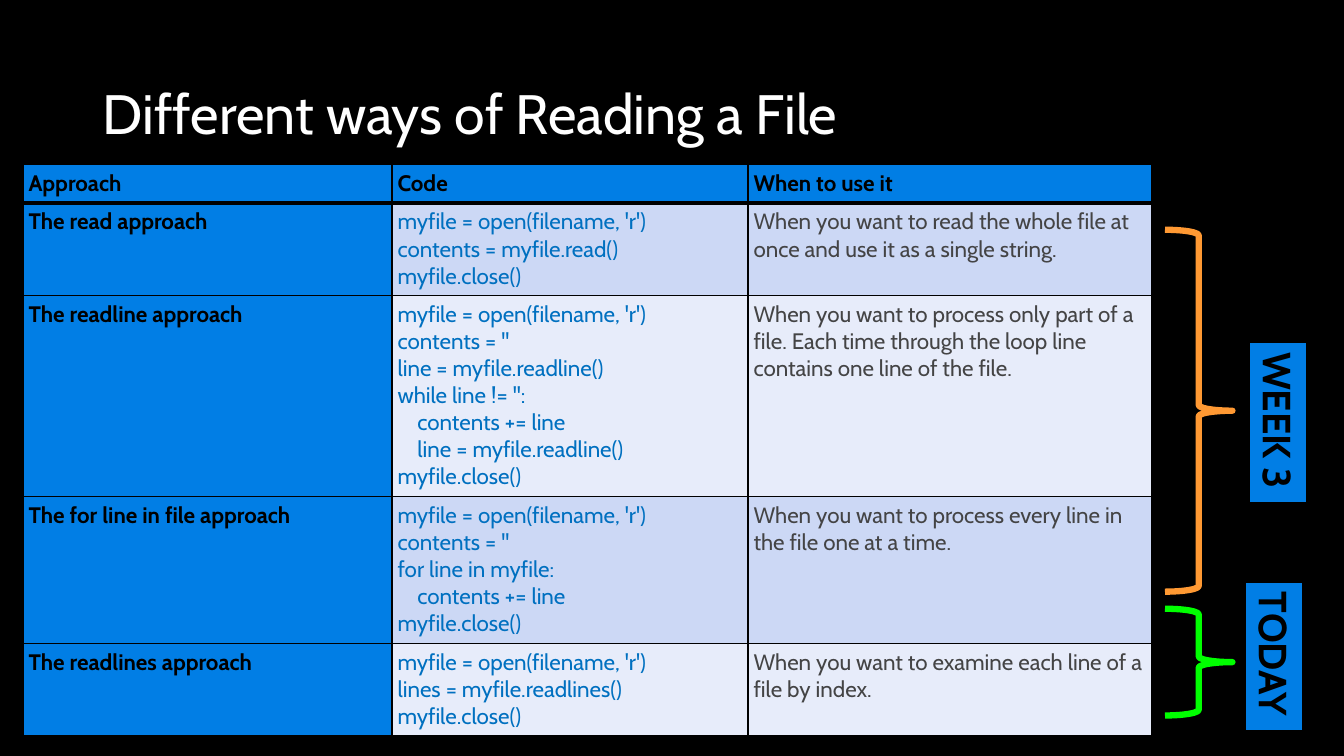
from lxml.etree import SubElement
from pptx import Presentation
from pptx.dml.color import RGBColor
from pptx.enum.shapes import MSO_SHAPE as Shape
from pptx.enum.text import MSO_ANCHOR as Anchor, MSO_AUTO_SIZE as AutoSize, PP_ALIGN as Align
from pptx.oxml.ns import qn
from pptx.util import Cm, Pt

BLACK = RGBColor(0x00, 0x00, 0x00)
WHITE = RGBColor(0xFF, 0xFF, 0xFF)
BLUE = RGBColor(0x01, 0x7E, 0xE5)
CODE_BLUE = RGBColor(0x00, 0x70, 0xC0)
GREY = RGBColor(0x44, 0x44, 0x45)
BAND_DARK = RGBColor(0xCC, 0xD8, 0xF5)
BAND_LIGHT = RGBColor(0xE7, 0xEC, 0xFA)
ORANGE = RGBColor(0xFF, 0x99, 0x33)
GREEN = RGBColor(0x00, 0xFF, 0x00)

FONT = "Cabin"
CELL_MARGIN = Cm(0.14)
CODE_INDENT = Cm(0.5)
COLUMN_WIDTHS = [9.3, 8.97, 10.18]
ROW_HEIGHTS = [0.93, 2.33, 5.07, 3.7, 2.33]

HEADINGS = ["Approach", "Code", "When to use it"]
# A tab at the start of a code line stands for one indent level.
APPROACHES = [
    ("The read approach",
     ["myfile = open(filename, 'r')", "contents = myfile.read()", "myfile.close()"],
     "When you want to read the whole file at once and use it as a single string."),
    ("The readline approach",
     ["myfile = open(filename, 'r')", "contents = ''", "line = myfile.readline()",
      "while line != '':", "\tcontents += line", "\tline = myfile.readline()",
      "myfile.close()"],
     "When you want to process only part of a file. Each time through the loop line "
     "contains one line of the file."),
    ("The for line in file approach",
     ["myfile = open(filename, 'r')", "contents = ''", "for line in myfile:",
      "\tcontents += line", "myfile.close()"],
     "When you want to process every line in the file one at a time."),
    ("The readlines approach",
     ["myfile = open(filename, 'r')", "lines = myfile.readlines()", "myfile.close()"],
     "When you want to examine each line of a file by index."),
]


def add_span(para, text, size, color, bold=False):
    span = para.add_run()
    span.text = text
    span.font.name = FONT
    span.font.size = Pt(size)
    span.font.bold = bold
    span.font.color.rgb = color


def write_title(page, text):
    title = page.shapes.title
    title.left, title.top, title.width, title.height = Cm(2.34), Cm(2.03), Cm(29.21), Cm(1.83)
    frame = title.text_frame
    frame.auto_size = AutoSize.NONE
    frame.vertical_anchor = Anchor.MIDDLE
    para = frame.paragraphs[0]
    para.alignment = Align.LEFT
    para.line_spacing = 0.9
    add_span(para, text, 39.6, WHITE)


def set_borders(cell, top, bottom):
    """Draw black cell borders; top and bottom are widths in points."""
    properties = cell._tc.get_or_add_tcPr()
    for side, width in (("L", 1), ("R", 1), ("T", top), ("B", bottom)):
        line = SubElement(properties, qn(f"a:ln{side}"), w=str(Pt(width)))
        fill = SubElement(line, qn("a:solidFill"))
        SubElement(fill, qn("a:srgbClr"), val=str(BLACK))


def fill_cell(cell, lines, fill, color, bold=False, align=Align.LEFT, space_after=8):
    cell.fill.solid()
    cell.fill.fore_color.rgb = fill
    cell.margin_left = cell.margin_right = CELL_MARGIN
    cell.margin_top = cell.margin_bottom = CELL_MARGIN
    frame = cell.text_frame
    for index, line in enumerate(lines):
        para = frame.add_paragraph() if index else frame.paragraphs[0]
        para.alignment = align
        para.space_after = Pt(space_after)
        if line.startswith("\t"):
            para._p.get_or_add_pPr().set("marL", str(CODE_INDENT))
        add_span(para, line.lstrip("\t"), 16, color, bold)


def add_approach_table(page):
    frame = page.shapes.add_table(len(ROW_HEIGHTS), len(COLUMN_WIDTHS), Cm(0.58), Cm(4.15),
                                  Cm(sum(COLUMN_WIDTHS)), Cm(sum(ROW_HEIGHTS)))
    table = frame.table
    for column, width in zip(table.columns, COLUMN_WIDTHS):
        column.width = Cm(width)
    for index, (row, height) in enumerate(zip(table.rows, ROW_HEIGHTS)):
        row.height = Cm(height)
        for cell in row.cells:
            set_borders(cell, 3 if index == 1 else 1, 3 if index == 0 else 1)

    for cell, heading in zip(table.rows[0].cells, HEADINGS):
        fill_cell(cell, [heading], BLUE, BLACK, bold=True, align=Align.JUSTIFY)
    for index, (name, code, usage) in enumerate(APPROACHES):
        name_cell, code_cell, usage_cell = table.rows[index + 1].cells
        band = BAND_LIGHT if index % 2 else BAND_DARK
        fill_cell(name_cell, [name], BLUE, BLACK, bold=True)
        fill_cell(code_cell, code, band, CODE_BLUE, space_after=0)
        fill_cell(usage_cell, [usage], band, GREY)


def add_brace(page, top, height, color):
    brace = page.shapes.add_shape(Shape.RIGHT_BRACE, Cm(29.36), Cm(top), Cm(1.7), Cm(height))
    brace.shadow.inherit = False
    brace.fill.background()
    brace.line.color.rgb = color
    brace.line.width = Pt(4.5)


def add_side_label(page, text, left, top, width):
    """Add a label turned a quarter clockwise; the place is that before turning."""
    box = page.shapes.add_shape(Shape.RECTANGLE, Cm(left), Cm(top), Cm(width), Cm(1.45))
    box.rotation = 90
    box.shadow.inherit = False
    box.fill.solid()
    box.fill.fore_color.rgb = BLUE
    box.line.color.rgb = BLACK
    box.line.width = Pt(1.5)
    frame = box.text_frame
    frame.word_wrap = False
    frame.auto_size = AutoSize.SHAPE_TO_FIT_TEXT
    frame.vertical_anchor = Anchor.TOP
    para = frame.paragraphs[0]
    para.alignment = Align.LEFT
    add_span(para, text, 28, BLACK, bold=True)


def main():
    deck = Presentation()
    deck.slide_width, deck.slide_height = Cm(33.87), Cm(19.05)
    page = deck.slides.add_slide(deck.slide_layouts[5])
    page.background.fill.solid()
    page.background.fill.fore_color.rgb = BLACK

    write_title(page, "Different ways of Reading a File")
    add_approach_table(page)
    add_brace(page, 15.34, 2.69, GREEN)
    add_brace(page, 5.79, 9.12, ORANGE)
    add_side_label(page, "TODAY", 30.23, 15.82, 3.76)
    add_side_label(page, "WEEK 3", 30.18, 9.93, 4.06)
    deck.save("out.pptx")


if __name__ == "__main__":
    main()
